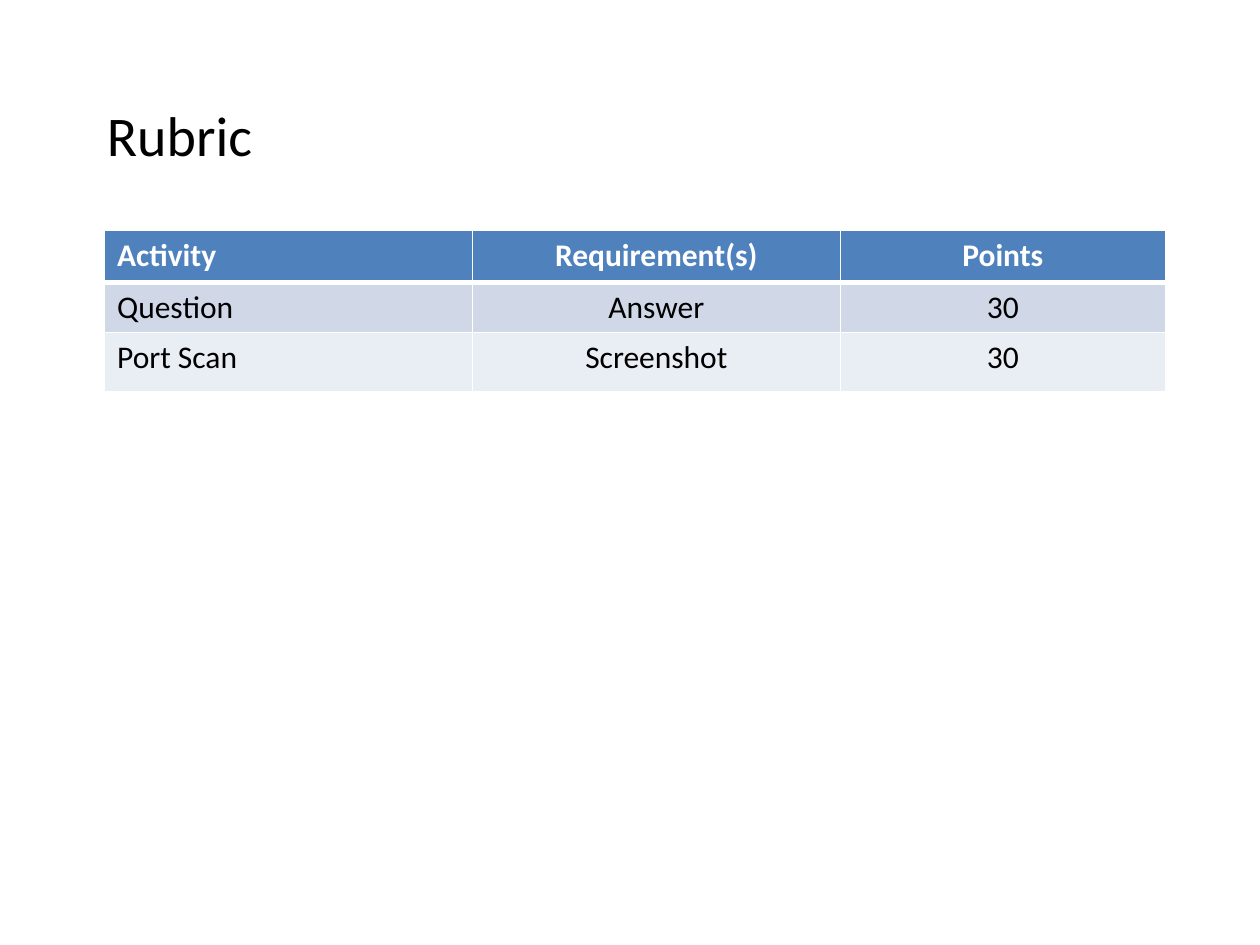
"""Build a grading rubric slide with a title and a points table."""
from lxml import etree
from pptx import Presentation
from pptx.dml.color import RGBColor
from pptx.enum import text
from pptx.oxml.ns import qn
from pptx.util import Inches, Pt

TITLE = "Rubric"
ROWS = [
    ("Activity", "Requirement(s)", "Points"),
    ("Question", "Answer", "30"),
    ("Port Scan", "Screenshot", "30"),
]
COL_WIDTHS = [2.92, 2.92, 2.58]
ROW_HEIGHTS = [0.41, 0.4, 0.47]
COLORS = {"header": "4F81BD", "odd": "D0D8E8", "even": "E9EDF4",
          "light": "FFFFFF", "dark": "000000"}
ROW_FILLS = ["header", "odd", "even"]


def style_text(p, size, color, bold=False):
    """Format every run of a paragraph."""
    for r in p.runs:
        r.font.name = "Calibri"
        r.font.size = Pt(size)
        r.font.bold = bold
        r.font.color.rgb = RGBColor.from_string(COLORS[color])


def add_borders(cell, widths):
    """Draw light cell borders, given widths in points by side."""
    tc_pr = cell._tc.get_or_add_tcPr()
    for i, (side, width) in enumerate(widths.items()):
        ln = etree.Element(qn(f"a:ln{side}"), w=str(Pt(width)))
        fill = etree.SubElement(ln, qn("a:solidFill"))
        etree.SubElement(fill, qn("a:srgbClr"), val=COLORS["light"])
        tc_pr.insert(i, ln)


def add_title(s):
    """Add the title text box."""
    tf = s.shapes.add_textbox(Inches(0.75), Inches(0.75), Inches(9), Inches(4.95)).text_frame
    tf.word_wrap = True
    tf.text = TITLE
    style_text(tf.paragraphs[0], 32, "dark")


def add_rubric(s):
    """Add the rubric table."""
    table = s.shapes.add_table(
        len(ROWS), len(COL_WIDTHS), Inches(0.83), Inches(1.83),
        Inches(sum(COL_WIDTHS)), Inches(sum(ROW_HEIGHTS))).table
    for column, width in zip(table.columns, COL_WIDTHS):
        column.width = Inches(width)
    for i, (row, height) in enumerate(zip(table.rows, ROW_HEIGHTS)):
        row.height = Inches(height)
        header = i == 0
        for j, cell in enumerate(row.cells):
            cell.text = ROWS[i][j]
            cell.fill.solid()
            cell.fill.fore_color.rgb = RGBColor.from_string(COLORS[ROW_FILLS[i]])
            add_borders(cell, {"L": 1, "R": 1, "T": 3 if i == 1 else 1, "B": 3 if header else 1})
            p = cell.text_frame.paragraphs[0]
            p.alignment = text.PP_ALIGN.CENTER if j else text.PP_ALIGN.LEFT
            style_text(p, 18, "light" if header else "dark", header)


def main():
    prs = Presentation()
    prs.slide_width, prs.slide_height = Inches(10), Inches(7.5)
    s = prs.slides.add_slide(prs.slide_layouts[6])
    add_title(s)
    add_rubric(s)
    prs.save("out.pptx")


if __name__ == "__main__":
    main()
